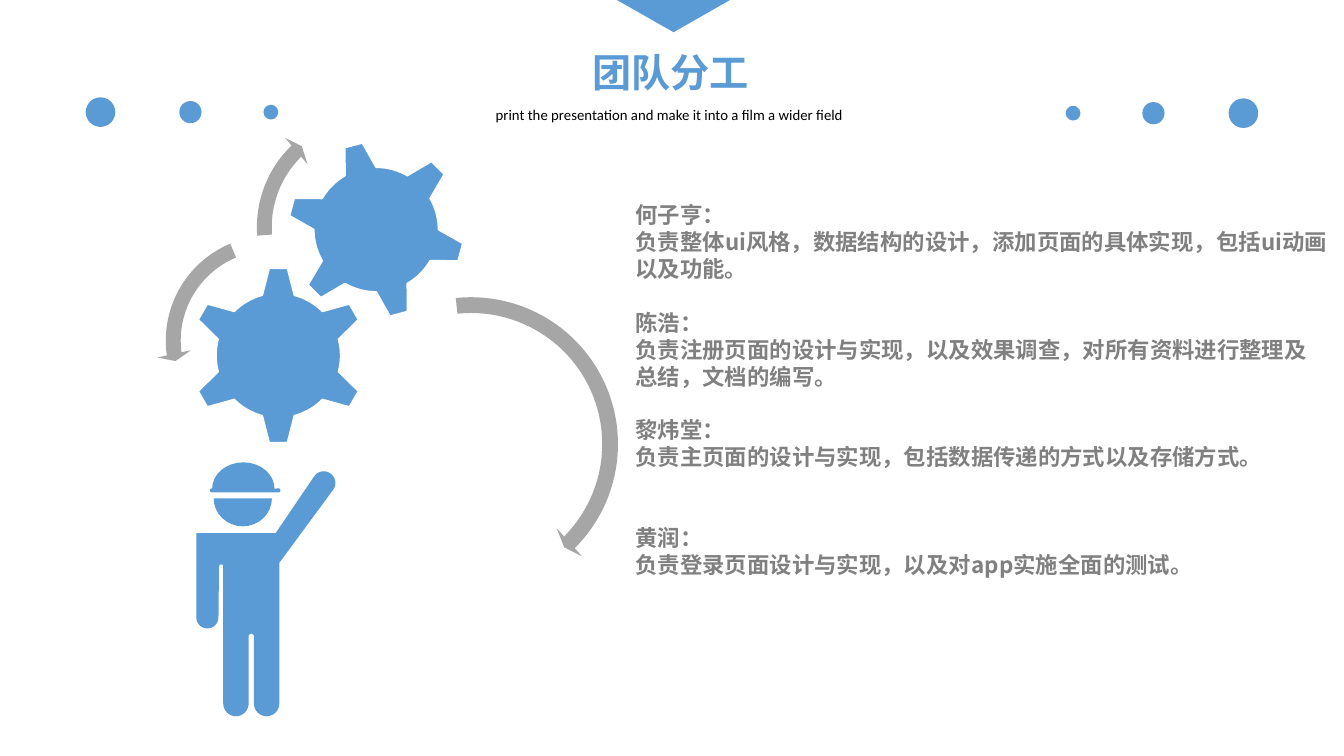
from dataclasses import dataclass
from math import cos, radians, sin

from lxml.etree import SubElement
from pptx import Presentation
from pptx.dml.color import RGBColor
from pptx.enum.shapes import MSO_SHAPE
from pptx.enum.text import MSO_ANCHOR, MSO_AUTO_SIZE, PP_ALIGN
from pptx.oxml.ns import qn
from pptx.util import Cm, Pt

BLUE = RGBColor(0x5B, 0x9B, 0xD5)
ARROW_GRAY = RGBColor(0xA6, 0xA6, 0xA6)
TEXT_GRAY = RGBColor(0x80, 0x80, 0x80)
WHITE = RGBColor(0xFF, 0xFF, 0xFF)
BLACK = RGBColor(0, 0, 0)
CHINESE_FONT = "Noto Sans CJK SC"
LINE_HEIGHT = 14.4
SLIDE_WIDTH = 25.4

Point = tuple[float, float]


@dataclass
class Gear:
    center_x: float
    center_y: float
    rotation: float


@dataclass
class CurvedArrow:
    preset: MSO_SHAPE
    left: float
    top: float
    size: float
    thickness: float
    head_angle: float
    end_angle: float
    start_angle: float
    head_width: float


@dataclass
class Dot:
    offset: float
    diameter: float


@dataclass
class Duty:
    member: str
    work: str
    blank_lines: int


GEARS = [Gear(5.26, 6.72, 0), Gear(7.11, 4.34, -15)]
ARROWS = [
    CurvedArrow(MSO_SHAPE.CIRCULAR_ARROW, 4.67, 1.96, 4.67, 0.06, 3.94, 225.7, 175.7, 0.07),
    CurvedArrow(MSO_SHAPE.CIRCULAR_ARROW, 5.92, 5.41, 5.97, 0.05, 2.99, 45, 264, 0.06),
    CurvedArrow(MSO_SHAPE.LEFT_CIRCULAR_ARROW, 2.95, 4.27, 4.34, 0.065, 4.3, 172.2, 247.3, 0.075),
]
DOTS = [Dot(10.8, 0.56), Dot(9.1, 0.42), Dot(7.58, 0.28)]
DUTIES = [
    Duty("何子亨：", "负责整体ui风格，数据结构的设计，添加页面的具体实现，包括ui动画以及功能。", 0),
    Duty("陈浩：", "负责注册页面的设计与实现，以及效果调查，对所有资料进行整理及总结，文档的编写。", 1),
    Duty("黎炜堂：", "负责主页面的设计与实现，包括数据传递的方式以及存储方式。", 1),
    Duty("黄润：", "负责登录页面设计与实现，以及对app实施全面的测试。", 2),
]


def arc(center: Point, radius_x: float, radius_y: float, start: float, end: float) -> list[Point]:
    steps = 16
    angles = [radians(start + (end - start) * step / steps) for step in range(steps + 1)]
    return [(center[0] + radius_x * cos(angle), center[1] + radius_y * sin(angle)) for angle in angles]


def round_arc(center: Point, radius: float, start: float, end: float) -> list[Point]:
    return arc(center, radius, radius, start, end)


def paint(shape, color: RGBColor) -> None:
    shape.shadow.inherit = False
    shape.fill.solid()
    shape.fill.fore_color.rgb = color
    shape.line.fill.background()


def draw_outline(slide, points: list[Point]):
    corners = [(Cm(x), Cm(y)) for x, y in points]
    builder = slide.shapes.build_freeform(*corners[0])
    builder.add_line_segments(corners[1:], close=True)
    shape = builder.convert_to_shape()
    paint(shape, BLUE)
    return shape


def draw_preset(slide, preset: MSO_SHAPE, left: float, top: float, width: float, height: float, color: RGBColor):
    shape = slide.shapes.add_shape(preset, Cm(left), Cm(top), Cm(width), Cm(height))
    paint(shape, color)
    return shape


def draw_gear(slide, gear: Gear) -> None:
    center = (gear.center_x, gear.center_y)
    points = []
    for tooth in range(6):
        middle = gear.rotation - 90 + 60 * tooth
        points += [round_arc(center, 1.66, middle + side, middle + side)[0] for side in (-6, 6)]
        points += round_arc(center, 1.18, middle + 15, middle + 45)
    shape = draw_outline(slide, points)
    shape.line.color.rgb = WHITE
    shape.line.width = Pt(1)


def draw_arrow(slide, arrow: CurvedArrow) -> None:
    shape = draw_preset(slide, arrow.preset, arrow.left, arrow.top, arrow.size, arrow.size, ARROW_GRAY)
    degree = 0.6
    values = [arrow.thickness, arrow.head_angle * degree, arrow.end_angle * degree,
              arrow.start_angle * degree, arrow.head_width]
    for index, value in enumerate(values):
        shape.adjustments[index] = value


def draw_dots(slide) -> None:
    for dot in DOTS:
        for side, center_y in ((-1, 2.12), (1, 2.14)):
            left = SLIDE_WIDTH / 2 + side * dot.offset - dot.diameter / 2
            top = center_y - dot.diameter / 2
            draw_preset(slide, MSO_SHAPE.OVAL, left, top, dot.diameter, dot.diameter, BLUE)


def draw_worker(slide) -> None:
    helmet = (arc((4.6, 9.24), 0.59, 0.5, 180, 360)
              + round_arc((5.26, 9.27), 0.04, 270, 450)
              + round_arc((4.01, 9.27), 0.04, 90, 270))
    face = arc((4.59, 9.42), 0.55, 0.53, 0, 180)
    body = ([(3.71, 10.08), (5.21, 10.08)]
            + round_arc((6.12, 9.13), 0.22, 213, 393)
            + [(5.28, 10.64)]
            + round_arc((5.04, 13.3), 0.24, 0, 180)
            + round_arc((4.75, 12.03), 0.05, 0, -180)
            + round_arc((4.46, 13.3), 0.24, 0, 180)
            + round_arc((4.18, 10.71), 0.04, 0, -180)
            + round_arc((3.92, 11.67), 0.21, 0, 180))
    for points in (helmet, face, body):
        draw_outline(slide, points)


def place(shape, left: float, top: float, width: float, height: float) -> None:
    shape.left, shape.top, shape.width, shape.height = Cm(left), Cm(top), Cm(width), Cm(height)


def prepare_frame(shape, margin_x: float, margin_y: float, anchor: MSO_ANCHOR) -> None:
    frame = shape.text_frame
    frame.word_wrap = True
    frame.auto_size = MSO_AUTO_SIZE.NONE
    frame.vertical_anchor = anchor
    frame.margin_left = frame.margin_right = Cm(margin_x)
    frame.margin_top = frame.margin_bottom = Cm(margin_y)


def write_text(paragraph, text: str, *, size: float, color: RGBColor, font: str = "Calibri",
               bold: bool = False, alignment: PP_ALIGN = PP_ALIGN.CENTER) -> None:
    paragraph.alignment = alignment
    run = paragraph.add_run()
    run.text = text
    run.font.size = Pt(size)
    run.font.bold = bold
    run.font.name = font
    run.font.color.rgb = color
    SubElement(run.font._element, qn("a:ea")).set("typeface", CHINESE_FONT)


def write_duties(shape) -> None:
    prepare_frame(shape, 0.25, 0.13, MSO_ANCHOR.TOP)
    frame = shape.text_frame
    lines = [line for duty in DUTIES for line in ((duty.member, duty.blank_lines), (duty.work, 0))]
    for index, (text, blank_lines) in enumerate(lines):
        paragraph = frame.add_paragraph() if index else frame.paragraphs[0]
        write_text(paragraph, text, size=12, color=TEXT_GRAY, font=CHINESE_FONT, bold=True,
                   alignment=PP_ALIGN.LEFT)
        paragraph.line_spacing = Pt(LINE_HEIGHT)
        paragraph.space_before = Pt(LINE_HEIGHT * blank_lines)
        paragraph.space_after = Pt(0)
        properties = paragraph._p.get_or_add_pPr()
        properties.set("marL", "0")
        properties.set("indent", "0")
        SubElement(properties, qn("a:buNone"))


def main() -> None:
    presentation = Presentation()
    presentation.slide_width, presentation.slide_height = Cm(SLIDE_WIDTH), Cm(14.29)
    slide = presentation.slides.add_slide(presentation.slide_layouts[1])
    draw_dots(slide)
    for gear in GEARS:
        draw_gear(slide, gear)
    for arrow in ARROWS:
        draw_arrow(slide, arrow)
    draw_worker(slide)
    draw_preset(slide, MSO_SHAPE.FLOWCHART_MERGE, 11.66, 0, 2.14, 0.61, BLUE)

    title = slide.shapes.title
    place(title, 8.66, 0.79, 8.03, 1.14)
    prepare_frame(title, 0, 0, MSO_ANCHOR.MIDDLE)
    write_text(title.text_frame.paragraphs[0], "团队分工", size=21, color=BLUE, bold=True)

    subtitle = slide.shapes.add_textbox(Cm(8.38), Cm(1.88), Cm(8.53), Cm(0.58))
    prepare_frame(subtitle, 0, 0, MSO_ANCHOR.MIDDLE)
    write_text(subtitle.text_frame.paragraphs[0],
               "print the presentation and make it into a film a wider field", size=7.9, color=BLACK)

    duties = slide.placeholders[1]
    place(duties, 11.76, 3.68, 13.61, 7.44)
    write_duties(duties)
    presentation.save("out.pptx")


if __name__ == "__main__":
    main()
